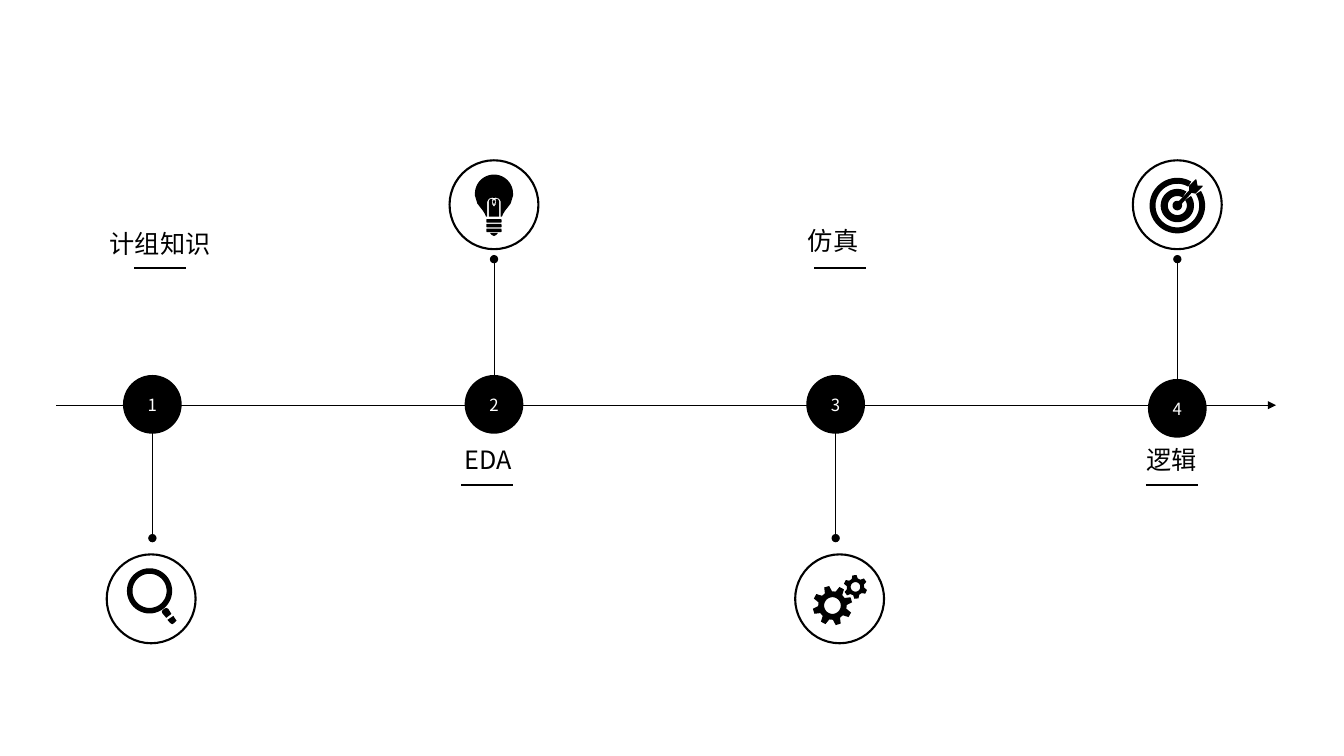
from dataclasses import dataclass
from math import cos, radians, sin

from lxml import etree
from pptx import Presentation
from pptx.dml.color import RGBColor
from pptx.enum.shapes import MSO_CONNECTOR, MSO_SHAPE
from pptx.enum.text import MSO_ANCHOR, PP_ALIGN
from pptx.oxml.ns import qn
from pptx.util import Cm, Pt

STRAIGHT = MSO_CONNECTOR.STRAIGHT
OVAL = MSO_SHAPE.OVAL
ROUNDED = MSO_SHAPE.ROUNDED_RECTANGLE
MIDDLE = MSO_ANCHOR.MIDDLE
CENTER = PP_ALIGN.CENTER
FONT = "Noto Sans CJK SC"
COLORS = {"ink": "000000", "paper": "FFFFFF"}
BADGE_SIZE = 1.48
ICON_SIZE = 2.24
UNDERLINE_LENGTH = 1.3
FIRST_X, STEP_X = 3.84, 8.61

Point = tuple[float, float]
Contour = list[Point]


@dataclass
class Stage:
    label: str
    label_left: float
    label_top: float
    underline_left: float
    underline_top: float
    badge_top: float
    stem_top: float
    stem_bottom: float
    icon_x: float
    icon_y: float
    outlines: list[list[Contour]]
    bars: int = 0


def arc(center: Point, radius: float, start: float, end: float) -> Contour:
    steps = 48
    angles = [radians(start + (end - start) * step / steps) for step in range(steps + 1)]
    return [(center[0] + radius * cos(angle), center[1] + radius * sin(angle)) for angle in angles]


def circle(center: Point, radius: float) -> Contour:
    return arc(center, radius, 0, 360)


def open_ring(center: Point, outer: float, inner: float, start: float, end: float) -> Contour:
    return arc(center, outer, start, end) + arc(center, inner, end, start)


def gear(center: Point, teeth: int, outer: float, root: float, hole: float, turn: float) -> list[Contour]:
    rim = []
    for tooth in range(teeth):
        middle = turn + 360 * tooth / teeth
        for offset, radius in ((-120, root), (-60, outer), (60, outer), (120, root)):
            angle = radians(middle + offset / teeth)
            rim.append((center[0] + radius * cos(angle), center[1] + radius * sin(angle)))
    return [rim, circle(center, hole)]


def mirrored(half: Contour) -> Contour:
    return half + [(-x, y) for x, y in reversed(half)]


LENS = (-0.04, -0.2)
MAGNIFIER = [
    [[(0.3, 0.28), (0.33, 0.25), (0.38, 0.23), (0.43, 0.25),
      (0.51, 0.38), (0.38, 0.48), (0.28, 0.36), (0.27, 0.31)]],
    [circle(LENS, 0.57), circle(LENS, 0.43)],
    [[(0.61, 0.58), (0.58, 0.61), (0.53, 0.64), (0.48, 0.61),
      (0.41, 0.53), (0.56, 0.43), (0.61, 0.51), (0.64, 0.55)]],
]
GLASS = arc((0, -0.28), 0.48, -90, 0) + [
    (0.48, -0.23), (0.42, -0.03), (0.28, 0.15), (0.23, 0.23), (0.2, 0.3),
    (0.17, 0.3), (0.17, -0.08), (0.13, -0.15), (0.05, -0.18), (0, -0.17)]
CORE = [(0, 0.05), (0.04, 0), (0.05, -0.08), (0.04, -0.15),
        (0.07, -0.15), (0.11, -0.13), (0.13, -0.08), (0.13, 0.3)]
BULB = [
    [mirrored(GLASS), mirrored(CORE), mirrored([(0, -0.13), (0.03, -0.08), (0, 0)])],
    [mirrored([(0.1, 0.71), (0.06, 0.76), (0, 0.79)])],
]
GEARS = [
    gear((0.4, -0.3), 6, 0.3, 0.22, 0.12, -35),
    gear((-0.18, 0.17), 8, 0.5, 0.36, 0.21, -17),
]
BULLSEYE = (0, 0.02)
DART = [(0.3, -0.36), (0.3, -0.48), (0.46, -0.64), (0.48, -0.64), (0.51, -0.48), (0.64, -0.48),
        (0.64, -0.46), (0.48, -0.3), (0.46, -0.28), (0.36, -0.3)]
TARGET = [
    [open_ring(BULLSEYE, 0.7, 0.55, -32, 300)],
    [DART + arc(BULLSEYE, 0.12, -20, 290)],
    [open_ring(BULLSEYE, 0.42, 0.24, -35, 303)],
]

STAGES = [
    Stage("计组知识", 1.37, 5.63, 3.38, 6.76, 9.45, 10.19, 13.56, 3.81, 15.09, MAGNIFIER),
    Stage("EDA", 9.63, 11.07, 11.63, 12.22, 9.45, 6.53, 9.91, 12.45, 5.16, BULB, bars=3),
    Stage("仿真", 18.33, 5.55, 20.52, 6.76, 9.45, 10.19, 13.56, 21.16, 15.09, GEARS),
    Stage("逻辑", 26.86, 11.07, 28.88, 12.22, 9.55, 6.53, 9.91, 29.67, 5.16, TARGET),
]


def color(name: str) -> RGBColor:
    return RGBColor.from_string(COLORS[name])


def paint(shape) -> None:
    shape.shadow.inherit = False
    shape.fill.solid()
    shape.fill.fore_color.rgb = color("ink")
    shape.line.fill.background()


def write(shape, text: str, size: float, color_name: str) -> None:
    paragraph = shape.text_frame.paragraphs[0]
    paragraph.text = text
    paragraph.alignment = CENTER
    paragraph.font.name = FONT
    paragraph.font.size = Pt(size)
    paragraph.font.color.rgb = color(color_name)
    defaults = paragraph._p.pPr.find(qn("a:defRPr"))
    etree.SubElement(defaults, qn("a:ea"), typeface=FONT)


def draw_line(shapes, start: Point, end: Point, width: float, head: str = "none", tail: str = "none") -> None:
    connector = shapes.add_connector(STRAIGHT, Cm(start[0]), Cm(start[1]), Cm(end[0]), Cm(end[1]))
    connector.line.color.rgb = color("ink")
    connector.line.width = Pt(width)
    line = connector.line._get_or_add_ln()
    etree.SubElement(line, qn("a:headEnd"), type=head)
    etree.SubElement(line, qn("a:tailEnd"), type=tail)
    etree.SubElement(connector._element.spPr, qn("a:effectLst"))


def draw_outline(shapes, stage: Stage, contours: list[Contour]) -> None:
    builder = None
    for contour in contours:
        points = [(Cm(stage.icon_x + x), Cm(stage.icon_y + y)) for x, y in contour]
        if builder is None:
            builder = shapes.build_freeform(*points[0])
        else:
            builder.move_to(*points[0])
        builder.add_line_segments(points[1:], close=True)
    paint(builder.convert_to_shape())


def draw_icon(slide, stage: Stage) -> None:
    shapes = slide.shapes.add_group_shape().shapes
    frame = shapes.add_shape(OVAL, Cm(stage.icon_x - ICON_SIZE / 2), Cm(stage.icon_y - ICON_SIZE / 2),
                             Cm(ICON_SIZE), Cm(ICON_SIZE))
    frame.shadow.inherit = False
    frame.fill.background()
    frame.line.color.rgb = color("ink")
    frame.line.width = Pt(1.5)
    for contours in stage.outlines:
        draw_outline(shapes, stage, contours)
    for bar in range(stage.bars):
        paint(shapes.add_shape(ROUNDED, Cm(stage.icon_x - 0.19), Cm(stage.icon_y + 0.36 + 0.12 * bar),
                               Cm(0.38), Cm(0.09)))


def draw_badge(slide, number: int, center_x: float, top: float) -> None:
    badge = slide.shapes.add_shape(OVAL, Cm(center_x - BADGE_SIZE / 2), Cm(top), Cm(BADGE_SIZE), Cm(BADGE_SIZE))
    paint(badge)
    badge.text_frame.vertical_anchor = MIDDLE
    write(badge, str(number), 12, "paper")


def draw_label(slide, stage: Stage) -> None:
    shapes = slide.shapes.add_group_shape().shapes
    label = shapes.add_textbox(Cm(stage.label_left), Cm(stage.label_top), Cm(5.33), Cm(1.02))
    label.text_frame.word_wrap = True
    write(label, stage.label, 18, "ink")
    draw_line(shapes, (stage.underline_left, stage.underline_top),
              (stage.underline_left + UNDERLINE_LENGTH, stage.underline_top), 1.5)


def main() -> None:
    presentation = Presentation()
    presentation.slide_width, presentation.slide_height = Cm(33.87), Cm(19.05)
    slide = presentation.slides.add_slide(presentation.slide_layouts[6])
    centers = [FIRST_X + STEP_X * index for index in range(len(STAGES))]
    for center_x, stage in zip(centers, STAGES):
        draw_line(slide.shapes, (center_x, stage.stem_top), (center_x, stage.stem_bottom), 0.5, "oval", "oval")
    draw_line(slide.shapes, (1.42, 10.21), (32.16, 10.21), 0.5, tail="triangle")
    for number, (center_x, stage) in enumerate(zip(centers, STAGES), start=1):
        draw_badge(slide, number, center_x, stage.badge_top)
        draw_label(slide, stage)
        draw_icon(slide, stage)
    presentation.save("out.pptx")


if __name__ == "__main__":
    main()
